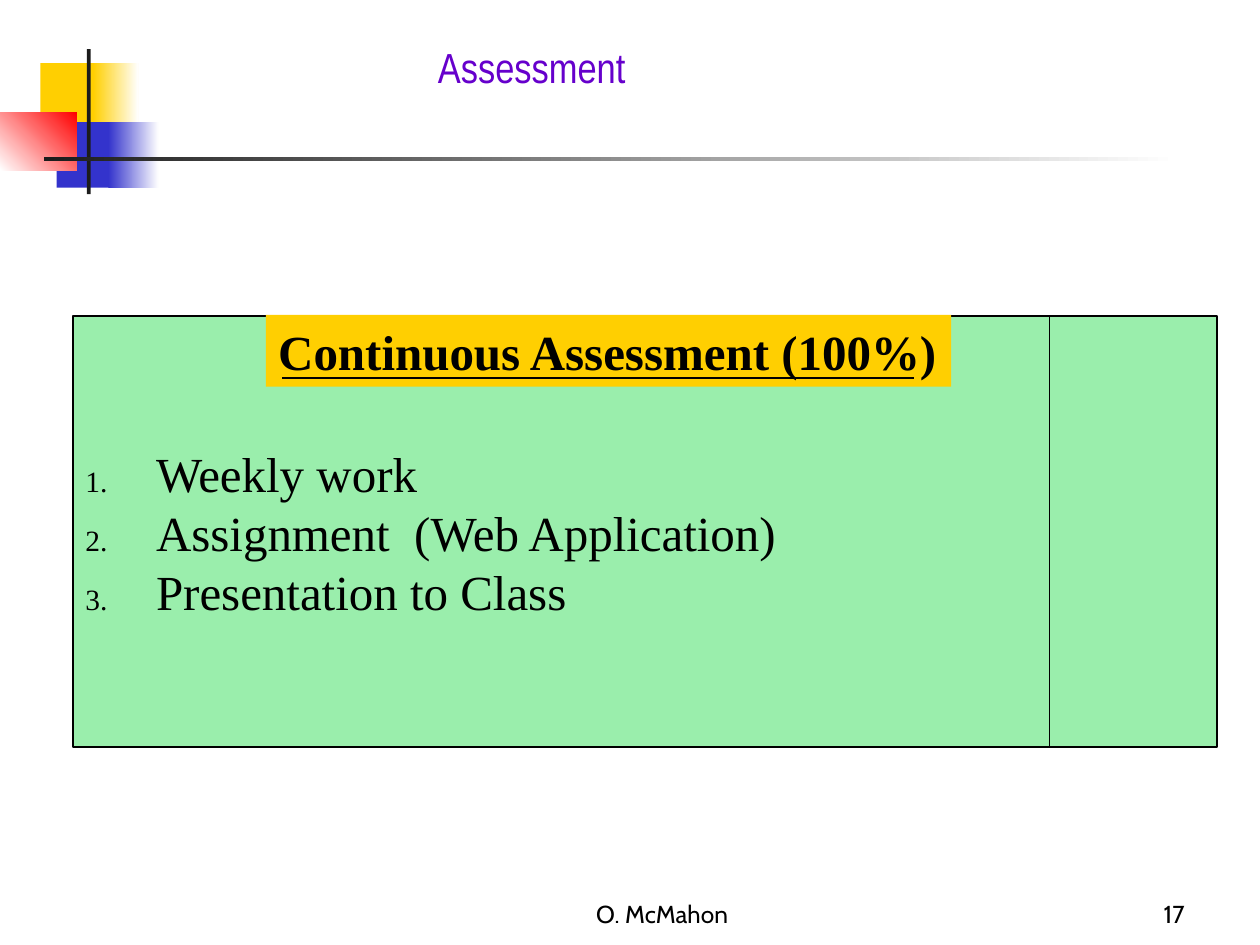
from dataclasses import dataclass

from lxml import etree
from pptx import Presentation
from pptx.dml.color import RGBColor
from pptx.enum.shapes import MSO_CONNECTOR, MSO_SHAPE
from pptx.enum.text import MSO_ANCHOR, MSO_AUTO_SIZE, PP_ALIGN
from pptx.oxml.ns import qn
from pptx.slide import Slide
from pptx.util import Inches, Pt

WHITE = RGBColor(0xFF, 0xFF, 0xFF)
BLACK = RGBColor(0x00, 0x00, 0x00)
CHARCOAL = RGBColor(0x1C, 0x1C, 0x1C)
YELLOW = RGBColor(0xFF, 0xCF, 0x01)
BLUE = RGBColor(0x33, 0x33, 0xCC)
RED = RGBColor(0xFF, 0x00, 0x00)
GREEN = RGBColor(0x9A, 0xEE, 0xAC)
PURPLE = RGBColor(0x66, 0x00, 0xCC)


@dataclass
class SlideBuilder:
    slide: Slide
    title_font: str = "Arial Narrow"
    body_font: str = "Times New Roman"
    footer_font: str = "Cabin"
    body_size: int = 28

    def style(self, paragraph, font, size, color=BLACK, align=PP_ALIGN.LEFT, bold=False):
        paragraph.alignment = align
        paragraph.font.name = font
        paragraph.font.size = Pt(size)
        paragraph.font.bold = bold
        paragraph.font.color.rgb = color

    def title(self, text, left, top, width, height):
        title = self.slide.shapes.title
        title.left, title.top = Inches(left), Inches(top)
        title.width, title.height = Inches(width), Inches(height)
        frame = title.text_frame
        frame.text = text
        frame.auto_size = MSO_AUTO_SIZE.NONE
        frame.vertical_anchor = MSO_ANCHOR.TOP
        self.style(frame.paragraphs[0], self.title_font, 24, PURPLE, PP_ALIGN.CENTER)

    def box(self, left, top, width, height, color, fade_to=None, angle=0):
        box = self.slide.shapes.add_shape(
            MSO_SHAPE.RECTANGLE, Inches(left), Inches(top), Inches(width), Inches(height))
        box.shadow.inherit = False
        box.line.fill.background()
        if fade_to is None:
            box.fill.solid()
            box.fill.fore_color.rgb = color
        else:
            box.fill.gradient()
            box.fill.gradient_angle = angle
            for stop, stop_color in zip(box.fill.gradient_stops, (color, fade_to)):
                stop.color.rgb = stop_color
        return box

    def heading(self, text, left, top, width, height, color):
        frame = self.box(left, top, width, height, color).text_frame
        frame.word_wrap = False
        frame.vertical_anchor = MSO_ANCHOR.TOP
        frame.text = text
        self.style(frame.paragraphs[0], self.body_font, self.body_size, bold=True)

    def numbered_panel(self, items, left, top, width, height, color):
        panel = self.box(left, top, width, height, color)
        panel.line.color.rgb = BLACK
        panel.line.width = Pt(1)
        frame = panel.text_frame
        frame.vertical_anchor = MSO_ANCHOR.MIDDLE
        frame.text = "\n".join(items)
        for paragraph in frame.paragraphs:
            self.number(paragraph)
            self.style(paragraph, self.body_font, self.body_size)

    def number(self, paragraph):
        properties = paragraph._p.get_or_add_pPr()
        indent = Inches(0.56)
        properties.set("marL", str(indent))
        properties.set("indent", str(-indent))
        bullet_color = etree.SubElement(properties, qn("a:buClr"))
        etree.SubElement(bullet_color, qn("a:srgbClr"), val=str(BLACK))
        etree.SubElement(properties, qn("a:buSzPct"), val="60000")
        etree.SubElement(properties, qn("a:buFont"), typeface=self.body_font)
        etree.SubElement(properties, qn("a:buAutoNum"), type="arabicPeriod")

    def line(self, x1, y1, x2, y2):
        line = self.slide.shapes.add_connector(
            MSO_CONNECTOR.STRAIGHT, Inches(x1), Inches(y1), Inches(x2), Inches(y2))
        line.line.color.rgb = BLACK
        line.line.width = Pt(1)
        etree.SubElement(line._element.spPr, qn("a:effectLst"))

    def footer(self, text, left, width, align):
        footer = self.slide.shapes.add_textbox(
            Inches(left), Inches(6.92), Inches(width), Inches(0.5))
        frame = footer.text_frame
        frame.word_wrap = True
        frame.vertical_anchor = MSO_ANCHOR.BOTTOM
        frame.text = text
        self.style(frame.paragraphs[0], self.footer_font, 14, align=align)


def main():
    presentation = Presentation()
    presentation.slide_width, presentation.slide_height = Inches(10), Inches(7.5)
    page = SlideBuilder(presentation.slides.add_slide(presentation.slide_layouts[5]))

    # Corner ornament: fading squares crossed by two bars
    page.box(0.32, 0.5, 0.48, 0.52, YELLOW)
    page.box(0.74, 0.5, 0.36, 0.52, YELLOW, WHITE)
    page.box(0.45, 0.97, 0.46, 0.52, BLUE)
    page.box(0.86, 0.97, 0.4, 0.52, BLUE, WHITE)
    page.box(0, 0.89, 0.61, 0.46, WHITE, RED, angle=45)
    page.box(0.69, 0.39, 0.03, 1.15, CHARCOAL)
    page.box(0.35, 1.25, 9, 0.03, CHARCOAL, WHITE)

    page.title("Assessment", 1.93, 0.28, 4.58, 1.41)

    # Assessment panel with its heading, divider and underline
    page.numbered_panel(
        ["Weekly work", "Assignment  (Web Application)", "Presentation to Class"],
        0.58, 2.51, 9.08, 3.42, GREEN)
    page.heading("Continuous Assessment (100%)", 2.11, 2.5, 5.44, 0.57, YELLOW)
    page.line(8.33, 2.5, 8.33, 5.92)
    page.line(2.24, 3, 7.25, 3)

    # Footer
    page.footer("O. McMahon", 3.67, 3.17, PP_ALIGN.CENTER)
    page.footer("17", 7.42, 2.08, PP_ALIGN.RIGHT)

    presentation.save("out.pptx")


if __name__ == "__main__":
    main()
